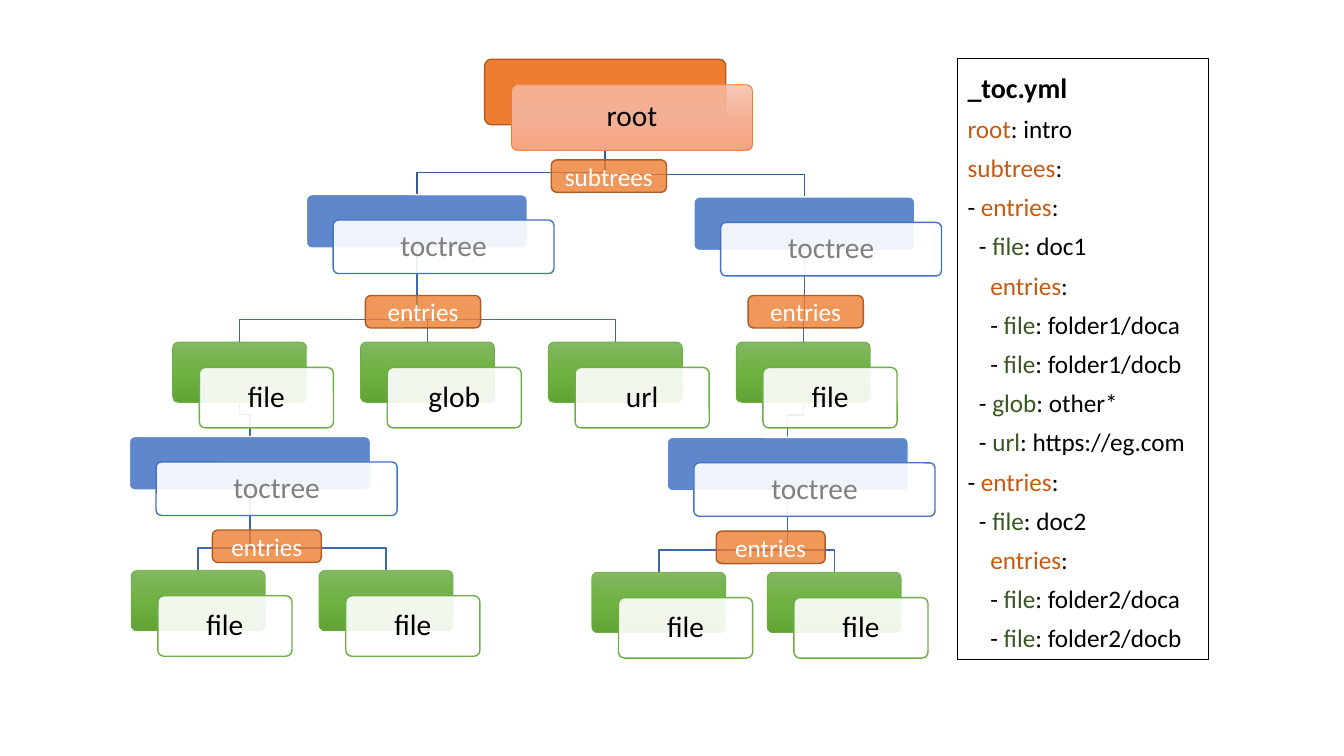
"""Build a slide that shows a toc tree beside its YAML file."""
import pptx
import pptx.chart.data
import pptx.dml.color
import pptx.enum.shapes
import pptx.enum.text
import pptx.oxml
import pptx.oxml.ns
import pptx.util

Pt = pptx.util.Pt
SHAPE = pptx.enum.shapes.MSO_SHAPE
ALIGN = pptx.enum.text.PP_ALIGN
MIDDLE = pptx.enum.text.MSO_ANCHOR.MIDDLE
FONT = "Calibri"

COLORS = {
    "black": "000000", "white": "FFFFFF", "gray": "808080",
    "orange": "ED7D31", "rust": "AF5C24", "blue": "4472C4",
    "green": "70AD47", "navy": "365B9D", "link": "3E67B2",
    "peach1": "F7BDA5", "peach2": "F5B196", "peach3": "F8A582",
    "leaf1": "81B861", "leaf2": "6FB242", "leaf3": "62A336",
    "branch": "C55A11", "item": "385723",
}

KINDS = {
    "root": {"high": 46.8, "back": [("orange", 100)], "edge": ("rust", 1),
             "front": [("peach1", 80), ("peach2", 100), ("peach3", 100)],
             "rim": ("orange", 0.5), "ink": "black"},
    "tree": {"high": 38.2, "back": [("blue", 85)], "edge": ("white", 1),
             "front": [("white", 90)], "rim": ("blue", 1), "ink": "gray"},
    "leaf": {"high": 43.2, "edge": ("green", 0.5),
             "back": [("leaf1", 100), ("leaf2", 100), ("leaf3", 100)],
             "front": [("white", 90)], "rim": ("green", 1), "ink": "black"},
}

WIDE, MID, SLIM = 172.2, 157.7, 95.8
ROW, STEP = 123.3, 134.2
NODES = {
    "top": ("root", "root", 346.2, 42.3, WIDE, None),
    "left": ("tree", "toctree", 218.9, 139, MID, "top"),
    "doc1": ("leaf", "file", ROW, 244.3, SLIM, "left"),
    "sub1": ("tree", "toctree", 92.4, 311.8, WIDE, "doc1"),
    "1a": ("leaf", "file", 93.7, 407.4, SLIM, "sub1"),
    "1b": ("leaf", "file", 93.7 + STEP, 407.4, SLIM, "sub1"),
    "glob": ("leaf", "glob", ROW + STEP, 244.3, SLIM, "left"),
    "url": ("leaf", "url", ROW + 2 * STEP, 244.3, SLIM, "left"),
    "right": ("tree", "toctree", 495.7, 140.7, MID, "top"),
    "doc2": ("leaf", "file", ROW + 3 * STEP, 244.3, SLIM, "right"),
    "sub2": ("tree", "toctree", 476.6, 312.4, WIDE, "doc2"),
    "2a": ("leaf", "file", 422.7, 408.7, SLIM, "sub2"),
    "2b": ("leaf", "file", 548, 408.7, SLIM, "sub2"),
}

TAGS = [
    ("subtrees", 393.8, 114.2, 82.3),
    ("entries", 261, 211.1, 82.3),
    ("entries", 534.4, 211.1, 82.3),
    ("entries", 511.6, 379.4, 77.8),
    ("entries", 151.7, 378.6, 77.8),
]

TITLE = "_toc.yml"
ITEMS = ("file", "glob", "url")
LINES = [
    (0, "", "root", ": intro"),
    (0, "", "subtrees", ":"),
    (0, "- ", "entries", ":"),
    (1, "- ", "file", ": doc1"),
    (2, "", "entries", ":"),
    (2, "- ", "file", ": folder1/doca"),
    (2, "- ", "file", ": folder1/docb"),
    (1, "- ", "glob", ": other*"),
    (1, "- ", "url", ": https://eg.com"),
    (0, "- ", "entries", ":"),
    (1, "- ", "file", ": doc2"),
    (2, "", "entries", ":"),
    (2, "- ", "file", ": folder2/doca"),
    (2, "- ", "file", ": folder2/docb"),
]

SHIFT_X, SHIFT_Y = 19.1, 18.2
BEND = 15.9
INDENT = 8.14


def rgb(name):
    return pptx.dml.color.RGBColor.from_string(COLORS[name])


def paint(shape, stops):
    tones = [f'<a:srgbClr val="{COLORS[name]}"><a:alpha val="{alpha * 1000}"/></a:srgbClr>'
             for name, alpha in stops]
    space = pptx.oxml.ns.nsdecls("a")
    if len(tones) == 1:
        xml = f"<a:solidFill {space}>{tones[0]}</a:solidFill>"
    else:
        gap = 100000 // (len(tones) - 1)
        marks = "".join(f'<a:gs pos="{i * gap}">{tone}</a:gs>' for i, tone in enumerate(tones))
        xml = (f"<a:gradFill {space}><a:gsLst>{marks}</a:gsLst>"
               '<a:lin ang="5400000" scaled="0"/></a:gradFill>')
    shape.element.spPr.find(pptx.oxml.ns.qn("a:prstGeom")).addnext(pptx.oxml.parse_xml(xml))


def edge(shape, name, width):
    shape.shadow.inherit = False
    shape.line.color.rgb = rgb(name)
    shape.line.width = Pt(width)


def box(slide, kind, x, y, w, h, stops, line):
    shape = slide.shapes.add_shape(kind, Pt(x), Pt(y), Pt(w), Pt(h))
    if stops:
        paint(shape, stops)
    else:
        shape.fill.background()
    edge(shape, *line)
    shape.text_frame.word_wrap = True
    shape.text_frame.vertical_anchor = MIDDLE
    return shape


def write(para, text, size, name, bold=False):
    run = para.add_run()
    run.text = text
    run.font.name = FONT
    run.font.size = Pt(size)
    run.font.bold = bold
    run.font.color.rgb = rgb(name)


def label(shape, text, size, name):
    para = shape.text_frame.paragraphs[0]
    para.alignment = ALIGN.CENTER
    write(para, text, size, name)
    return para


def link(slide, node):
    x, y, w, key = node[2:]
    kind, _, left, top, wide, _ = NODES[key]
    start, end, turn = left + wide / 2, x + w / 2, y - BEND
    form = slide.shapes.build_freeform(Pt(start), Pt(top + KINDS[kind]["high"]))
    points = [(start, turn), (end, turn), (end, y)]
    form.add_line_segments([(Pt(a), Pt(b)) for a, b in points], close=False)
    shape = form.convert_to_shape()
    shape.fill.background()
    edge(shape, "navy" if kind == "root" else "link", 1)


def card(slide, node):
    kind, text, x, y, w, _ = node
    look = KINDS[kind]
    high = look["high"]
    back = box(slide, SHAPE.ROUNDED_RECTANGLE, x, y, w, high, look["back"], look["edge"])
    front = box(slide, SHAPE.ROUNDED_RECTANGLE, x + SHIFT_X, y + SHIFT_Y, w, high,
                look["front"], look["rim"])
    for shape in (back, front):
        shape.adjustments[0] = 0.1
    label(front, text, 21, look["ink"]).line_spacing = 0.9


def panel(slide):
    shape = box(slide, SHAPE.RECTANGLE, 684, 41.8, 179.3, 429.1, None, ("black", 0.75))
    frame = shape.text_frame
    frame.auto_size = pptx.enum.text.MSO_AUTO_SIZE.SHAPE_TO_FIT_TEXT
    write(frame.paragraphs[0], TITLE, 20, "black", True)
    for depth, dash, key, rest in LINES:
        para = frame.add_paragraph()
        para._p.get_or_add_pPr().set("marL", str(Pt(depth * INDENT)))
        if dash:
            write(para, dash, 18, "black")
        write(para, key, 18, "item" if key in ITEMS else "branch")
        write(para, rest, 18, "black")
    for para in frame.paragraphs:
        para.alignment = ALIGN.LEFT
        para.line_spacing = Pt(28)


def main():
    deck = pptx.Presentation()
    deck.slide_width, deck.slide_height = Pt(960), Pt(540)
    slide = deck.slides.add_slide(deck.slide_layouts[6])
    for node in NODES.values():
        if node[-1]:
            link(slide, node)
    for node in NODES.values():
        card(slide, node)
    for text, x, y, w in TAGS:
        tag = box(slide, SHAPE.ROUNDED_RECTANGLE, x, y, w, 23.2, [("orange", 80)], ("rust", 1))
        label(tag, text, 18, "white")
    panel(slide)
    deck.save("out.pptx")


if __name__ == "__main__":
    main()
